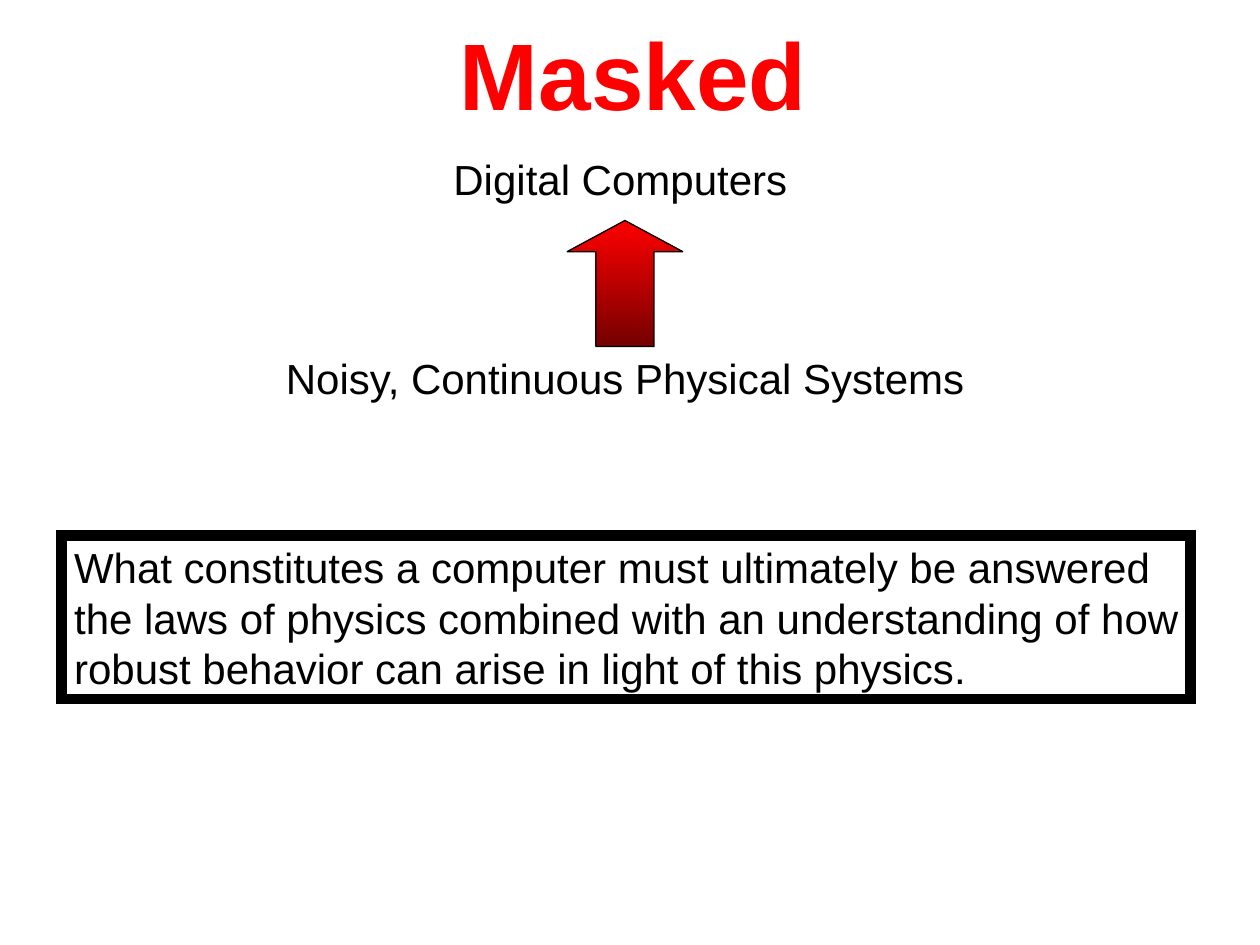
from lxml.etree import SubElement
from pptx import Presentation
from pptx.dml.color import RGBColor
from pptx.enum.shapes import MSO_SHAPE
from pptx.enum.text import MSO_ANCHOR, PP_ALIGN
from pptx.oxml.ns import qn
from pptx.util import Inches, Pt

FONT = {"name": "Arial", "size": Pt(24), "bold": False}
TITLE_FONT = {"name": "Arial", "size": Pt(54), "bold": True}
FRAME = {
    "margin_left": Inches(0.1),
    "margin_right": Inches(0.1),
    "margin_top": Inches(0.05),
    "margin_bottom": Inches(0.05),
    "vertical_anchor": MSO_ANCHOR.TOP,
    "word_wrap": False,
}
TITLE_FRAME = {**FRAME, "margin_right": 0, "word_wrap": True}


def rgb(value):
    return RGBColor.from_string(value)


def apply(target, values):
    for name, value in values.items():
        setattr(target, name, value)


def write(sp, lines, font=FONT, color="000000", frame=FRAME):
    tf = sp.text_frame
    apply(tf, frame)
    tf.text = "\n".join(lines)
    for p in tf.paragraphs:
        p.alignment = PP_ALIGN.LEFT
        for r in p.runs:
            apply(r.font, font)
            r.font.color.rgb = rgb(color)


def outline(sp, width):
    sp.shadow.inherit = False
    sp.line.color.rgb = rgb("000000")
    sp.line.width = Pt(width)
    ln = sp.line._get_or_add_ln()
    SubElement(ln, qn("a:miter"), lim="800000")


def add_title(s, left, top, width, height):
    sp = s.shapes.title
    apply(sp, {"left": left, "top": top, "width": width, "height": height})
    write(sp, ["Masked"], TITLE_FONT, "FF0000", TITLE_FRAME)


def add_label(s, text, left, top, width, height):
    write(s.shapes.add_textbox(left, top, width, height), [text])


def add_arrow(s, left, top, width, height):
    sp = s.shapes.add_shape(MSO_SHAPE.UP_ARROW, left, top, width, height)
    sp.adjustments[0] = 0.5
    sp.adjustments[1] = 0.27
    sp.fill.gradient()
    sp.fill.gradient_angle = 270
    for stop, color in zip(sp.fill.gradient_stops, ("FF0000", "750000")):
        stop.color.rgb = rgb(color)
    outline(sp, 0.75)


def add_diagram(s, left, top, width):
    add_label(s, "Digital Computers",
              left + Inches(1.33), top, Inches(2.85), Inches(0.5))
    add_arrow(s, left + Inches(2.33), top + Inches(0.58),
              Inches(0.92), Inches(1))
    add_label(s, "Noisy, Continuous Physical Systems",
              left, top + Inches(1.58), width, Inches(0.5))


def add_conclusion(s, left, top, width, height):
    sp = s.shapes.add_shape(MSO_SHAPE.RECTANGLE, left, top, width, height)
    sp.fill.background()
    outline(sp, 6)
    write(sp, [
        "What constitutes a computer must ultimately be answered",
        "the laws of physics combined with an understanding of how",
        "robust behavior can arise in light of this physics.",
    ])


def main():
    prs = Presentation()
    prs.slide_width, prs.slide_height = Inches(10), Inches(7.5)
    s = prs.slides.add_slide(prs.slide_layouts[5])
    add_title(s, Inches(3.55), Inches(0.08), Inches(2.95), Inches(1))
    add_diagram(s, Inches(2.17), Inches(1.17), Inches(5.61))
    add_conclusion(s, Inches(0.49), Inches(4.25), Inches(8.96), Inches(1.3))
    prs.save("out.pptx")


if __name__ == "__main__":
    main()
